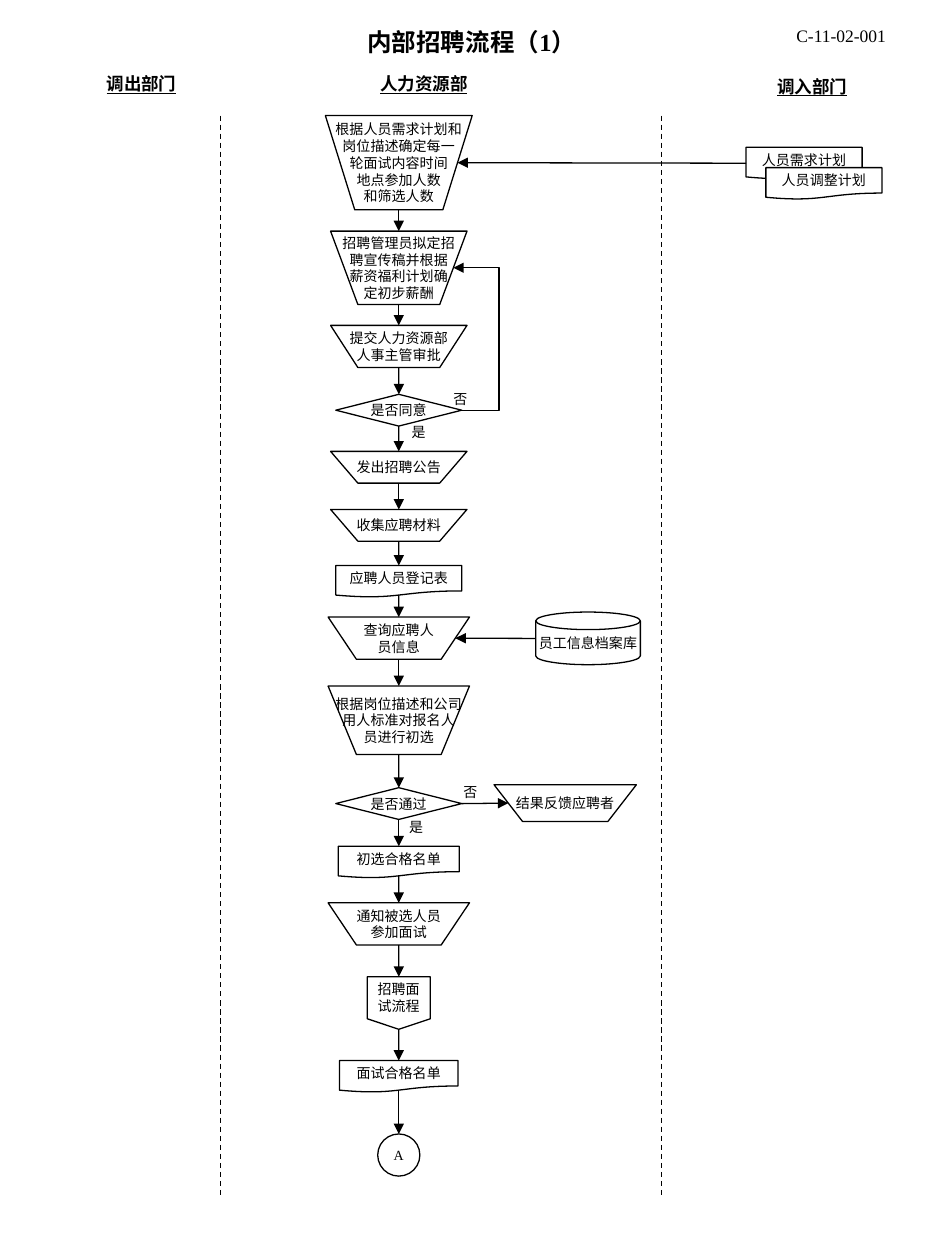
from lxml import etree
from pptx import Presentation
from pptx.dml.color import RGBColor
from pptx.enum.dml import MSO_LINE
from pptx.enum.shapes import MSO_CONNECTOR, MSO_SHAPE
from pptx.enum.text import MSO_ANCHOR, MSO_AUTO_SIZE, PP_ALIGN
from pptx.oxml.ns import qn
from pptx.util import Cm, Pt

OPERATION = MSO_SHAPE.FLOWCHART_MANUAL_OPERATION
DECISION = MSO_SHAPE.FLOWCHART_DECISION
DOCUMENT = MSO_SHAPE.FLOWCHART_DOCUMENT
OFFPAGE = MSO_SHAPE.FLOWCHART_OFFPAGE_CONNECTOR
CIRCLE = MSO_SHAPE.FLOWCHART_CONNECTOR
DISK = MSO_SHAPE.FLOWCHART_MAGNETIC_DISK
STRAIGHT, ELBOW = MSO_CONNECTOR.STRAIGHT, MSO_CONNECTOR.ELBOW
CENTER, LEFT = PP_ALIGN.CENTER, PP_ALIGN.LEFT
TOP, MIDDLE = MSO_ANCHOR.TOP, MSO_ANCHOR.MIDDLE
DASH = MSO_LINE.DASH

COLORS = {"ink": "000000", "paper": "FFFFFF"}
FONT = "Times New Roman"
AXIS = 8.04
LOOP_X = 10.06

TITLE = "内部招聘流程（1）"
CODE = ("C-11-02-001", 15.8, 0.38, 2.31)
DEPARTMENTS = [
    ("调出部门", 1.9, 1.35, 1.91),
    ("人力资源部", 7.42, 1.35, 2.26),
    ("调入部门", 15.42, 1.4, 1.91),
]
LANE_BORDERS = [4.45, 13.34]

STEPS = [
    (OPERATION, 2.33, 2.96, 1.9,
     "根据人员需求计划和\n岗位描述确定每一\n轮面试内容时间\n地点参加人数\n和筛选人数"),
    (OPERATION, 4.66, 2.75, 1.48,
     "招聘管理员拟定招\n聘宣传稿并根据\n薪资福利计划确\n定初步薪酬"),
    (OPERATION, 6.56, 2.75, 0.85, "提交人力资源部\n人事主管审批"),
    (DECISION, 7.95, 2.54, 0.64, "是否同意"),
    (OPERATION, 9.1, 2.75, 0.64, "发出招聘公告"),
    (OPERATION, 10.27, 2.75, 0.64, "收集应聘材料"),
    (DOCUMENT, 11.4, 2.54, 0.64, "应聘人员登记表"),
    (OPERATION, 12.44, 2.85, 0.85, "查询应聘人\n员信息"),
    (OPERATION, 13.83, 2.85, 1.38, "根据岗位描述和公司\n用人标准对报名人\n员进行初选"),
    (DECISION, 15.88, 2.54, 0.64, "是否通过"),
    (DOCUMENT, 17.06, 2.44, 0.64, "初选合格名单"),
    (OPERATION, 18.2, 2.85, 0.85, "通知被选人员\n参加面试"),
    (OFFPAGE, 19.69, 1.27, 1.06, "招聘面\n试流程"),
    (DOCUMENT, 21.38, 2.39, 0.64, "面试合格名单"),
    (CIRCLE, 22.86, 0.85, 0.85, "A"),
]
SIDE_NODES = [
    (DOCUMENT, 15.04, 2.97, 2.34, 0.64, "人员需求计划"),
    (DOCUMENT, 15.44, 3.38, 2.34, 0.64, "人员调整计划"),
    (DISK, 10.8, 12.34, 2.11, 1.06, "员工信息档案库"),
    (OPERATION, 9.96, 15.82, 2.87, 0.74, "结果反馈应聘者"),
]
ANSWERS = [
    ("否", 8.89, 7.75),
    ("是", 8.05, 8.41),
    ("否", 9.09, 15.67),
    ("是", 8.0, 16.38),
]
SIDES = {"top": 0, "left": 1, "bottom": 2, "right": 3}


def rgb(name):
    return RGBColor.from_string(COLORS[name])


def write(holder, text, size=8, bold=False, underline=False,
          align=CENTER, anchor=MIDDLE, wrap=False, fit=False):
    frame = holder.text_frame
    frame.text = text
    frame.word_wrap = wrap
    frame.vertical_anchor = anchor
    frame.auto_size = MSO_AUTO_SIZE.SHAPE_TO_FIT_TEXT if fit else MSO_AUTO_SIZE.NONE
    for paragraph in frame.paragraphs:
        paragraph.alignment = align
        font = paragraph.font
        font.name, font.size = FONT, Pt(size)
        font.bold, font.underline = bold, underline
        font.color.rgb = rgb("ink")


def add_label(slide, text, x, y, width, height, **style):
    label = slide.shapes.add_textbox(Cm(x), Cm(y), Cm(width), Cm(height))
    write(label, text, anchor=TOP, fit=True, **style)


def add_node(slide, kind, x, y, width, height, text):
    node = slide.shapes.add_shape(kind, Cm(x), Cm(y), Cm(width), Cm(height))
    node.shadow.inherit = False
    node.fill.solid()
    node.fill.fore_color.rgb = rgb("paper")
    node.line.color.rgb = rgb("ink")
    node.line.width = Pt(0.75)
    write(node, text)
    return node


def add_line(slide, kind, start, end):
    line = slide.shapes.add_connector(kind, *start, *end)
    line.line.color.rgb = rgb("ink")
    line.line.width = Pt(0.75)
    etree.SubElement(line._element.spPr, qn("a:effectLst"))
    return line


def site(node, side):
    kind = node.auto_shape_type
    inset = 0.1 if kind == OPERATION else 0
    depth = 0.934 if kind == DOCUMENT else 1
    across, down = {
        "top": (0.5, 0), "left": (inset, 0.5),
        "bottom": (0.5, depth), "right": (1 - inset, 0.5),
    }[side]
    index = SIDES[side] + (kind == DISK)
    return index, (int(node.left + node.width * across), int(node.top + node.height * down))


def add_arrow(slide, source, source_side, target, target_side, kind=STRAIGHT):
    source_index, start = site(source, source_side)
    target_index, end = site(target, target_side)
    arrow = add_line(slide, kind, start, end)
    arrow.begin_connect(source, source_index % 4)
    arrow.end_connect(target, target_index % 4)
    arrow.begin_x, arrow.begin_y = start
    arrow.end_x, arrow.end_y = end
    etree.SubElement(arrow.line._get_or_add_ln(), qn("a:tailEnd"), type="triangle")
    if kind == ELBOW:
        bend = round((Cm(LOOP_X) - start[0]) / (end[0] - start[0]) * 100000)
        adjustments = arrow._element.spPr.find(qn("a:prstGeom")).get_or_add_avLst()
        etree.SubElement(adjustments, qn("a:gd"), name="adj1", fmla=f"val {bend}")


def main():
    deck = Presentation()
    deck.slide_width, deck.slide_height = Cm(19.05), Cm(25.4)
    slide = deck.slides.add_slide(deck.slide_layouts[5])

    title = slide.shapes.title
    title.left, title.top, title.width, title.height = Cm(0.2), Cm(0.41), Cm(18.62), Cm(0.86)
    write(title, TITLE, size=14, bold=True, anchor=TOP, wrap=True)
    add_label(slide, *CODE, 0.69, size=10)
    for department in DEPARTMENTS:
        add_label(slide, *department, 0.69, size=10, bold=True, underline=True, align=LEFT)
    for x in LANE_BORDERS:
        border = add_line(slide, STRAIGHT, (Cm(x), Cm(2.33)), (Cm(x), Cm(24.13)))
        border.line.dash_style = DASH

    steps = [add_node(slide, kind, AXIS - width / 2, y, width, height, text)
             for kind, y, width, height, text in STEPS]
    demand, _, archive, feedback = [add_node(slide, *node) for node in SIDE_NODES]
    needs, draft, approval, query, screening = (steps[i] for i in (0, 1, 3, 7, 9))

    for upper, lower in zip(steps, steps[1:]):
        add_arrow(slide, upper, "bottom", lower, "top")
    add_arrow(slide, demand, "left", needs, "right")
    add_arrow(slide, archive, "left", query, "right")
    add_arrow(slide, screening, "right", feedback, "left")
    add_arrow(slide, approval, "right", draft, "right", kind=ELBOW)

    for answer in ANSWERS:
        add_label(slide, *answer, 0.79, 0.61, align=LEFT)
    deck.save("out.pptx")


if __name__ == "__main__":
    main()
